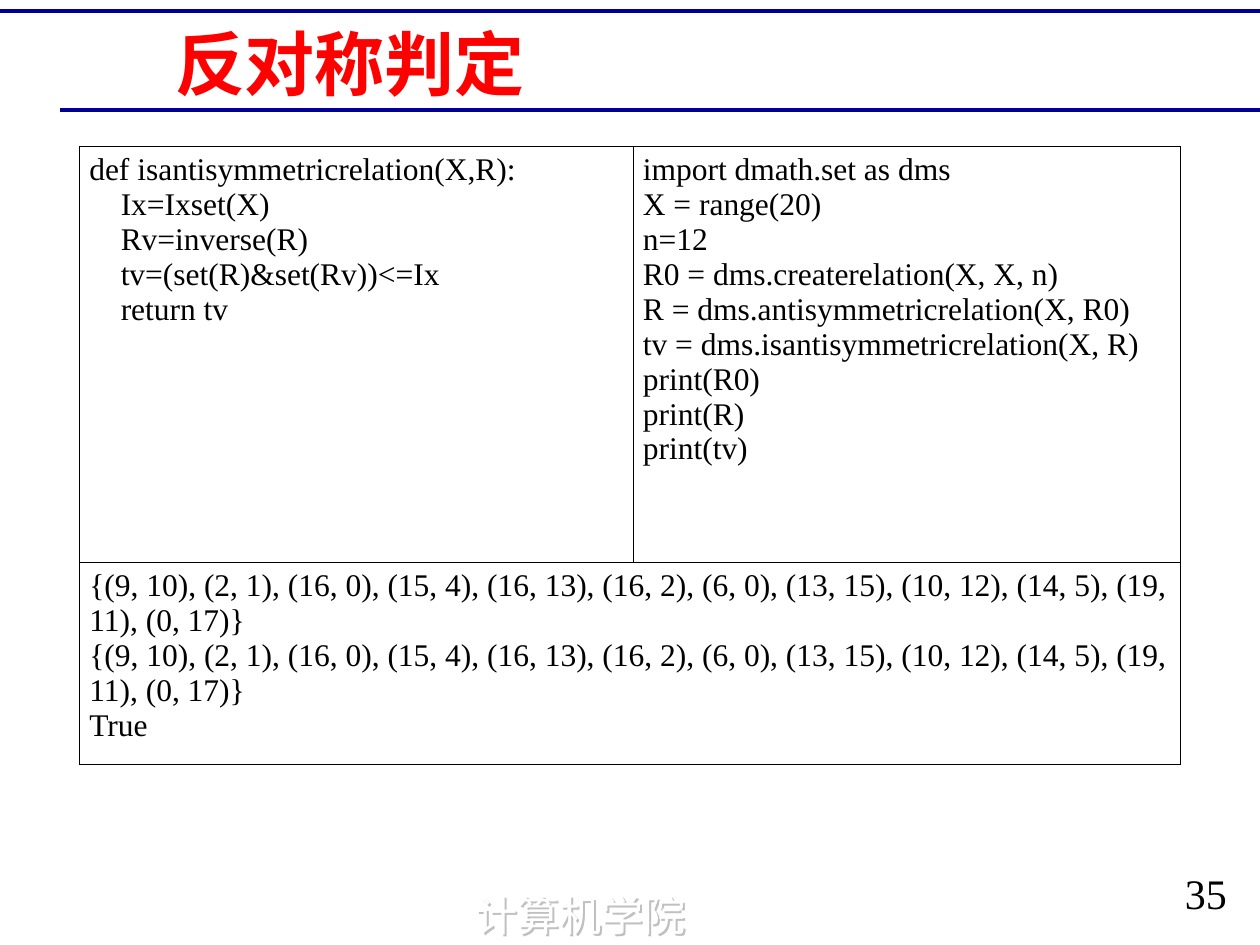
"""Build the slide on testing antisymmetric relations."""
import lxml.etree
import pptx
import pptx.dml.color
import pptx.enum.shapes
import pptx.enum.text
import pptx.oxml.ns
import pptx.util

Cm, Pt = pptx.util.Cm, pptx.util.Pt
qn = pptx.oxml.ns.qn


def color(value):
    return pptx.dml.color.RGBColor.from_string(value)


def write(tf, lines, font, size, fill, bold=False, align=pptx.enum.text.PP_ALIGN.LEFT):
    tf.word_wrap = True
    for i, line in enumerate(lines):
        p = tf.paragraphs[0] if i == 0 else tf.add_paragraph()
        p.alignment = align
        r = p.add_run()
        r.text = line
        r.font.name, r.font.size, r.font.bold = font, Pt(size), bold
        r.font.color.rgb = color(fill)
        lxml.etree.SubElement(r.font._element, qn("a:ea"), typeface=font)


prs = pptx.Presentation()
prs.slide_width, prs.slide_height = Cm(25.4), Cm(19.05)
s = prs.slides.add_slide(prs.slide_layouts[6])
CJK, ROMAN = "Noto Sans CJK SC", "Times New Roman"
CENTER = pptx.enum.text.PP_ALIGN.CENTER

for left, y in ((0, 0.23), (1.2, 2.21)):
    line = s.shapes.add_connector(
        pptx.enum.shapes.MSO_CONNECTOR.STRAIGHT, Cm(left), Cm(y), prs.slide_width, Cm(y))
    line.line.color.rgb = color("000099")
    line.line.width = Pt(2.25)
    lxml.etree.SubElement(line._element.spPr, qn("a:effectLst"))

footer = s.shapes.add_textbox(Cm(7.98), Cm(17.8), Cm(7.44), Cm(1.27))
write(footer.text_frame, ["计算机学院"], CJK, 24, "FFFFFF", align=CENTER)
effects = lxml.etree.SubElement(footer._element.spPr, qn("a:effectLst"))
shadow = lxml.etree.SubElement(
    effects, qn("a:outerShdw"), dist=str(Pt(2)), dir="2700000", algn="tl", rotWithShape="0")
lxml.etree.SubElement(shadow, qn("a:srgbClr"), val="C0C0C0")

number = s.shapes.add_textbox(Cm(23.22), Cm(17.37), Cm(2.18), Cm(1.27))
write(number.text_frame, ["35"], ROMAN, 24, "000000", align=CENTER)

title = s.shapes.add_textbox(Cm(3.28), Cm(0.53), Cm(20.68), Cm(1.47))
title.text_frame.vertical_anchor = pptx.enum.text.MSO_ANCHOR.MIDDLE
write(title.text_frame, ["反对称判定"], CJK, 40, "FF0000", bold=True)

table = s.shapes.add_table(2, 2, Cm(1.6), Cm(2.95), Cm(22.2), Cm(12.19)).table
table.first_row = table.horz_banding = False
for column, width in zip(table.columns, (11.16, 11.04)):
    column.width = Cm(width)
for row, height in zip(table.rows, (8.38, 3.81)):
    row.height = Cm(height)
table.cell(1, 0).merge(table.cell(1, 1))

for cell in table.iter_cells():
    cell.margin_left = cell.margin_right = Cm(0.2)
    cell.margin_top = cell.margin_bottom = Cm(0.13)
    for side in ("a:lnL", "a:lnR", "a:lnT", "a:lnB"):
        border = lxml.etree.SubElement(
            cell._tc.get_or_add_tcPr(), qn(side), w=str(Pt(0.45)))
        solid = lxml.etree.SubElement(border, qn("a:solidFill"))
        lxml.etree.SubElement(solid, qn("a:srgbClr"), val="000000")
    cell.fill.background()

relation = ("{(9, 10), (2, 1), (16, 0), (15, 4), (16, 13), (16, 2), (6, 0), "
            "(13, 15), (10, 12), (14, 5), (19, 11), (0, 17)}")
contents = {
    (0, 0): [
        "def isantisymmetricrelation(X,R):",
        "    Ix=Ixset(X)",
        "    Rv=inverse(R)",
        "    tv=(set(R)&set(Rv))<=Ix",
        "    return tv",
    ],
    (0, 1): [
        "import dmath.set as dms",
        "X = range(20)",
        "n=12",
        "R0 = dms.createrelation(X, X, n)",
        "R = dms.antisymmetricrelation(X, R0)",
        "tv = dms.isantisymmetricrelation(X, R)",
        "print(R0)",
        "print(R)",
        "print(tv)",
    ],
    (1, 0): [relation, relation, "True"],
}
for (row, column), lines in contents.items():
    write(table.cell(row, column).text_frame, lines, ROMAN, 18, "000000")

prs.save("out.pptx")
